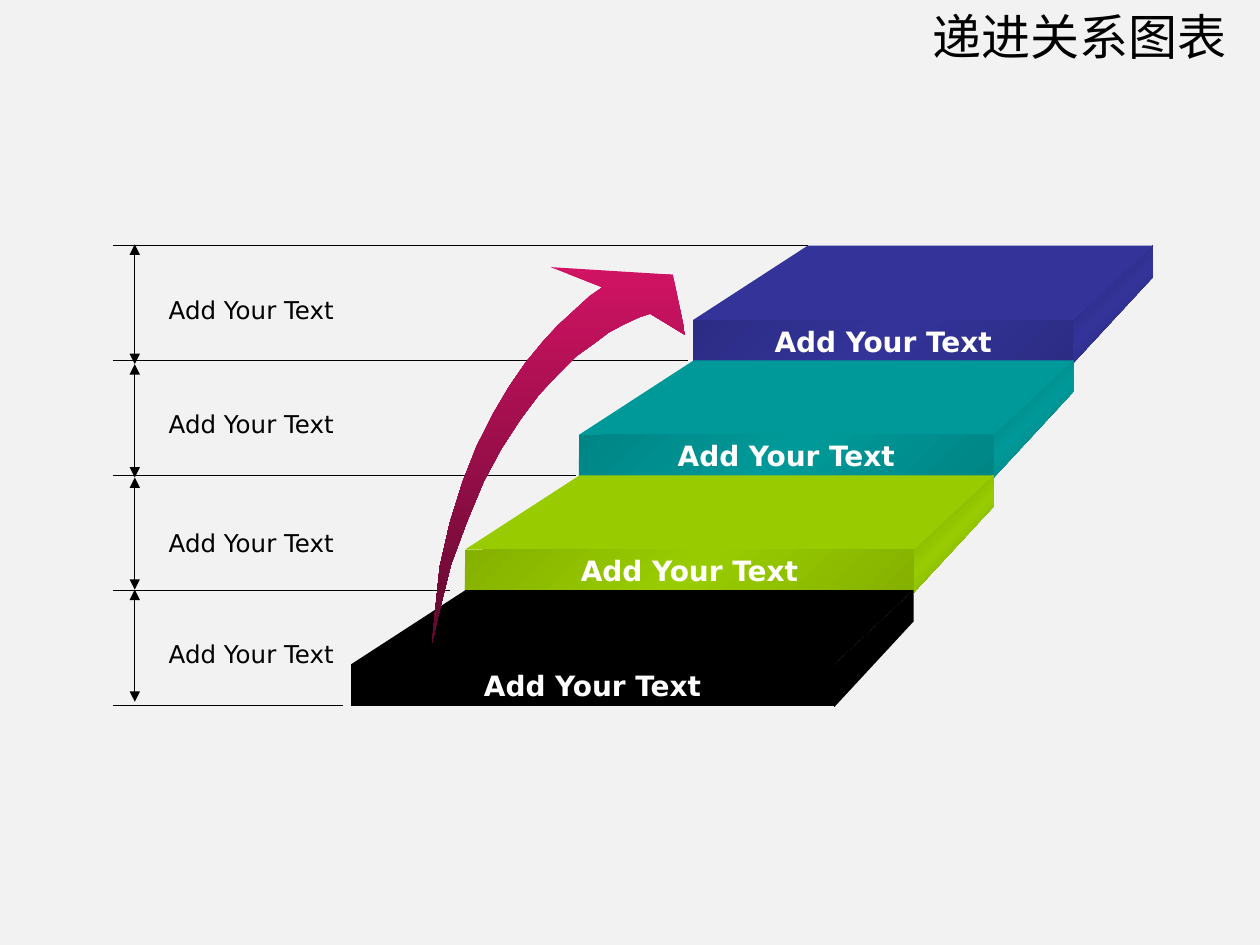
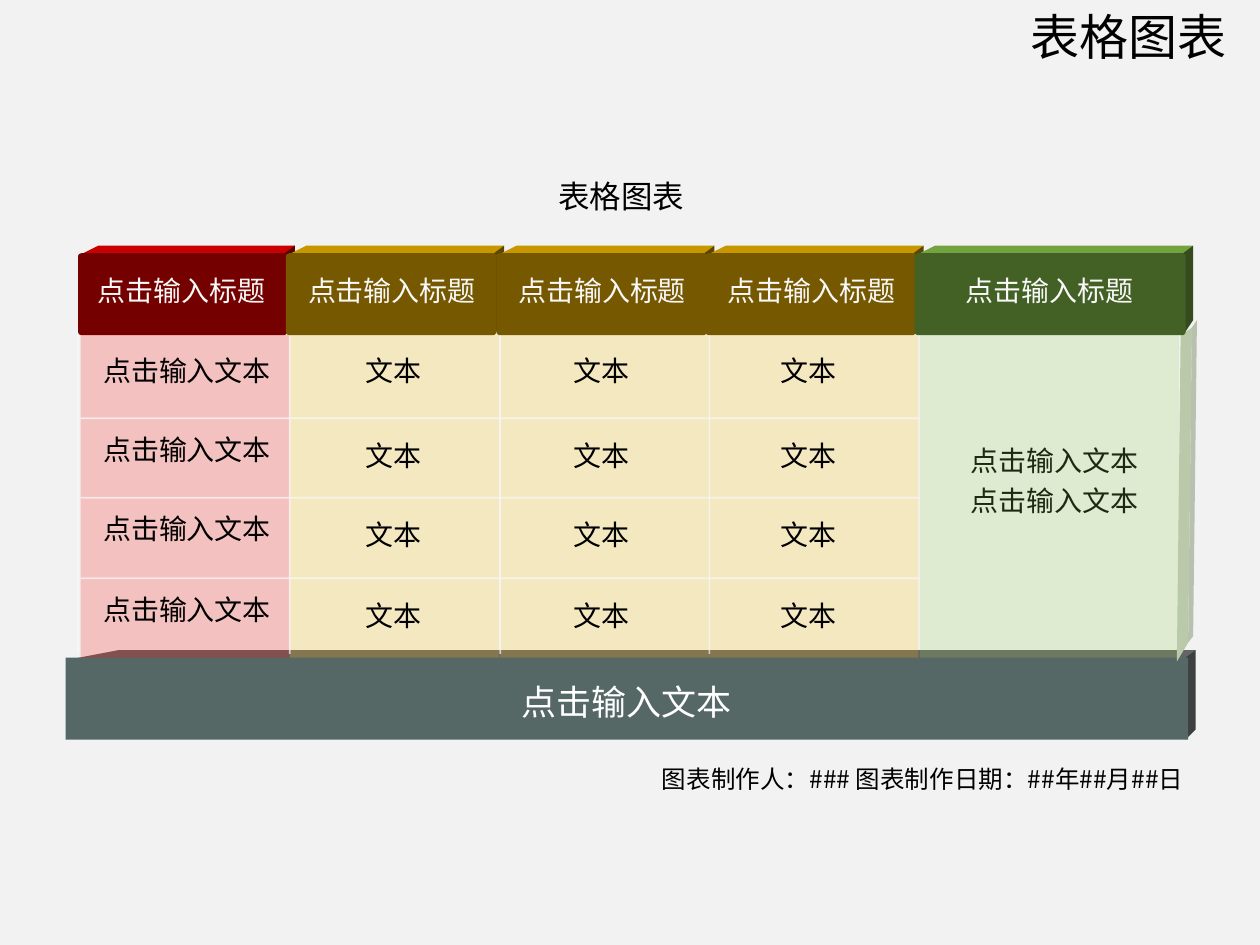
from lxml import etree
from pptx import Presentation
from pptx.dml.color import RGBColor
from pptx.enum.shapes import MSO_CONNECTOR, MSO_SHAPE
from pptx.enum.text import MSO_ANCHOR, PP_ALIGN
from pptx.oxml.ns import qn
from pptx.util import Inches, Pt

RECTANGLE, ROUNDED = MSO_SHAPE.RECTANGLE, MSO_SHAPE.ROUNDED_RECTANGLE
STRAIGHT = MSO_CONNECTOR.STRAIGHT
LEFT, CENTER, RIGHT = PP_ALIGN.LEFT, PP_ALIGN.CENTER, PP_ALIGN.RIGHT
TOP, MIDDLE = MSO_ANCHOR.TOP, MSO_ANCHOR.MIDDLE

CHINESE_FONT = "Noto Sans CJK SC"
LABEL_FONT = "DejaVu Sans"
TABLE_FONT = "Arial"

BACKGROUND = RGBColor(0xF2, 0xF2, 0xF2)
BLACK = RGBColor(0, 0, 0)
WHITE = RGBColor(0xFF, 0xFF, 0xFF)
OFF_WHITE = RGBColor(0xF8, 0xF8, 0xF8)
INDIGO = RGBColor(0x33, 0x33, 0x99)
TEAL = RGBColor(0x00, 0x99, 0x99)
LIME = RGBColor(0x99, 0xCC, 0x00)
PINK = RGBColor(0xD1, 0x13, 0x64)
DARK_PINK = RGBColor(0x61, 0x09, 0x2E)
RED = RGBColor(0xFF, 0x00, 0x00)
GOLD = RGBColor(0xFF, 0xC0, 0x00)
GREEN = RGBColor(0x92, 0xD0, 0x50)
SLATE = RGBColor(0x56, 0x68, 0x66)
GREY = RGBColor(0x64, 0x64, 0x64)
DARK_GREY = RGBColor(0x3C, 0x40, 0x40)
SAGE = RGBColor(0xB9, 0xC9, 0xAA)
PALE_SAGE = RGBColor(0xB8, 0xC0, 0xB0)


def darken(color, factor):
    return RGBColor(*(round(channel * factor) for channel in color))


def write_text(shape, text, size=16, font=TABLE_FONT, color=BLACK, bold=False,
               align=CENTER, anchor=TOP, wrap=True, space_before=4,
               line_spacing=None):
    """Fill a shape with one paragraph for each line of text."""
    frame = shape.text_frame
    frame.word_wrap = wrap
    frame.vertical_anchor = anchor
    for index, line in enumerate(text.split("\n")):
        paragraph = frame.add_paragraph() if index else frame.paragraphs[0]
        paragraph.alignment = align
        if index:
            paragraph.space_before = Pt(space_before)
        if line_spacing:
            paragraph.line_spacing = Pt(line_spacing)
        run = paragraph.add_run()
        run.text = line
        run.font.size = Pt(size)
        run.font.bold = bold
        run.font.color.rgb = color
        run.font.name = font
        east_asian = etree.SubElement(run.font._element, qn("a:ea"))
        east_asian.set("typeface", CHINESE_FONT)


class Deck:
    """Holds the shared style and the slide being drawn."""

    def __init__(self):
        self.presentation = Presentation()
        self.presentation.slide_width = Inches(10)
        self.presentation.slide_height = Inches(7.5)
        self.slide = None

    def add_slide(self, title):
        layout = self.presentation.slide_layouts[6]
        self.slide = self.presentation.slides.add_slide(layout)
        background = self.slide.background.fill
        background.solid()
        background.fore_color.rgb = BACKGROUND
        self.text(6.63, 0, 3.2, 0.57, title, size=28, font=CHINESE_FONT,
                  align=RIGHT)

    def text(self, left, top, width, height, text, **text_format):
        box = self.slide.shapes.add_textbox(
            Inches(left), Inches(top), Inches(width), Inches(height))
        write_text(box, text, **text_format)

    def paint(self, shape, color, alpha=None):
        shape.shadow.inherit = False
        shape.line.fill.background()
        shape.fill.solid()
        shape.fill.fore_color.rgb = color
        if alpha:
            self.set_alpha(shape, alpha)

    def set_alpha(self, shape, percent):
        for color in shape._element.spPr.iter(qn("a:srgbClr")):
            etree.SubElement(color, qn("a:alpha")).set("val", str(percent * 1000))

    def gradient(self, shape, colors, angle):
        shape.fill.gradient()
        gradient = shape._element.spPr.find(qn("a:gradFill"))
        stops = gradient.find(qn("a:gsLst"))
        for stop in list(stops):
            stops.remove(stop)
        for index, color in enumerate(colors):
            stop = etree.SubElement(stops, qn("a:gs"))
            stop.set("pos", str(index * 100000 // (len(colors) - 1)))
            etree.SubElement(stop, qn("a:srgbClr")).set("val", str(color))
        gradient.find(qn("a:lin")).set("ang", str(angle * 60000))

    def shape(self, kind, left, top, width, height, color, alpha=None):
        shape = self.slide.shapes.add_shape(
            kind, Inches(left), Inches(top), Inches(width), Inches(height))
        self.paint(shape, color, alpha)
        return shape

    def polygon(self, points, color):
        corners = [(Inches(x), Inches(y)) for x, y in points]
        builder = self.slide.shapes.build_freeform(*corners[0], scale=1.0)
        builder.add_line_segments(corners[1:], close=True)
        shape = builder.convert_to_shape()
        self.paint(shape, color)
        return shape

    def line(self, x1, y1, x2, y2, color=BLACK, width=0.75, alpha=None,
             arrows=False):
        connector = self.slide.shapes.add_connector(
            STRAIGHT, Inches(x1), Inches(y1), Inches(x2), Inches(y2))
        connector.line.color.rgb = color
        connector.line.width = Pt(width)
        properties = connector._element.spPr
        if alpha:
            self.set_alpha(connector, alpha)
        if arrows:
            for end in ("a:headEnd", "a:tailEnd"):
                element = etree.SubElement(properties.find(qn("a:ln")), qn(end))
                element.set("type", "triangle")
        etree.SubElement(properties, qn("a:effectLst"))

    def block(self, left, top, width, height, colors, back_left, back_right,
              rise, drop, corner):
        """Solid block: top face, right face and front face."""
        front, lid, side = colors
        right, bottom = left + width, top + height
        self.polygon([(left, top + 0.02), (left + back_left, top - rise),
                      (right + back_right, top - rise), (right, top + 0.02)], lid)
        self.polygon([(right - 0.02, top), (right + back_right, top - rise),
                      (right + back_right, bottom - drop),
                      (right - 0.02, bottom)], side)
        face = self.shape(ROUNDED, left, top, width, height, front)
        face.adjustments[0] = corner


def build_stairs(deck):
    deck.add_slide("递进关系图表")

    # Level lines, measuring arrows and labels
    for index, end in enumerate((6.41, 5.46, 4.57, 3.57, 2.72)):
        y = 1.95 + 0.9125 * index
        deck.line(end, y, 0.9, y)
    levels = (1.94, 2.89, 3.79, 4.68, 5.57)
    for upper, lower in zip(levels, levels[1:]):
        deck.line(1.07, upper, 1.07, lower, arrows=True)
    for top in (2.29, 3.2, 4.14, 5.02):
        deck.text(1.24, top, 1.59, 0.33, "Add Your Text", size=14,
                  font=LABEL_FONT, align=LEFT, wrap=False)

    # Steps, from the highest to the lowest
    for index, color in enumerate((INDIGO, TEAL, LIME, BLACK)):
        left, right = 5.5 - 0.905 * index, 8.52 - 0.633 * index
        back = 1.95 + 0.911 * index
        front, bottom = back + 0.59, back + 0.92
        far_right = right + 0.63
        side = deck.polygon([(far_right, back + 0.25), (right, bottom + 0.01),
                             (right, front), (far_right, back)], color)
        deck.polygon([(right, front), (left, front), (left + 0.91, back),
                      (far_right, back)], color)
        face = deck.shape(RECTANGLE, left, front, right - left, 0.33, color)
        for shape, factor in ((side, 0.714), (face, 0.87)):
            edge = darken(color, factor)
            deck.gradient(shape, (edge, color, edge), 45)
        write_text(face, "Add Your Text", font=LABEL_FONT, color=WHITE,
                   bold=True, anchor=MIDDLE, wrap=False)

    # Rising arrow
    outer_edge = [(3.43, 5.1), (3.45, 4.89), (3.49, 4.5), (3.57, 4.15),
                  (3.67, 3.83), (3.78, 3.55), (3.91, 3.29), (4.04, 3.07),
                  (4.17, 2.88), (4.31, 2.71), (4.43, 2.58), (4.55, 2.47),
                  (4.68, 2.35), (4.78, 2.28)]
    head = [(4.37, 2.12), (5.34, 2.18), (5.44, 2.66)]
    inner_edge = [(5.16, 2.49), (5.07, 2.52), (4.94, 2.58), (4.83, 2.64),
                  (4.71, 2.73), (4.57, 2.83), (4.43, 2.97), (4.28, 3.13),
                  (4.13, 3.33), (3.98, 3.56), (3.84, 3.82), (3.71, 4.13),
                  (3.58, 4.48), (3.48, 4.88)]
    arrow = deck.polygon(outer_edge + head + inner_edge, PINK)
    deck.gradient(arrow, (PINK, DARK_PINK), 90)


def build_table_chart(deck):
    deck.add_slide("表格图表")
    deck.text(0.51, 1.36, 8.84, 0.4, "表格图表", size=18)
    deck.text(0.65, 5.94, 8.84, 0.41, "图表制作人：### 图表制作日期：##年##月##日",
              size=14, font=CHINESE_FONT, align=RIGHT, line_spacing=22)

    # Base
    deck.block(0.52, 5.22, 8.91, 0.65, (SLATE, GREY, DARK_GREY),
               back_left=0.42, back_right=0.06, rise=0.06, drop=0.08,
               corner=0.002)
    deck.text(3.47, 5.35, 3.01, 0.46, "点击输入文本", size=20, color=WHITE)

    # Cells
    rows = (2.66, 3.32, 3.95, 4.59, 5.22)
    columns = (0.64, 2.3, 3.97, 5.63)
    for top, bottom in zip(rows, rows[1:]):
        for left in columns:
            color = RED if left == columns[0] else GOLD
            deck.shape(RECTANGLE, left, top, 1.66, bottom - top, color, alpha=20)

    # Grid lines
    grid = {"color": OFF_WHITE, "width": 1, "alpha": 70}
    for x in (0.62,) + columns[1:]:
        deck.line(x, 2.66, x, 5.19, **grid)
    for y in rows[1:-1]:
        deck.line(0.64, y, 7.3, y, **grid)

    # Cell texts
    for top in (2.76, 3.38, 4.01, 4.65):
        deck.text(0.65, top, 1.67, 0.39, "点击输入文本")
    for top in (2.76, 3.43, 4.06, 4.7):
        for left in (2.53, 4.18, 5.82):
            deck.text(left, top, 1.19, 0.39, "文本")

    # Summary panel, tinting the text below it
    deck.text(7.49, 3.47, 1.76, 0.82, "点击输入文本\n点击输入文本")
    deck.shape(RECTANGLE, 7.3, 2.63, 2.06, 2.59, GREEN, alpha=20)
    deck.polygon([(9.46, 2.6), (9.5, 2.54), (9.47, 5.05), (9.43, 5.1)],
                 PALE_SAGE)
    deck.polygon([(9.37, 2.66), (9.46, 2.6), (9.43, 5.1), (9.34, 5.25)], SAGE)

    # Column headers
    headers = ((0.62, 1.66, 0.56, RED), (2.27, 1.67, 2.23, GOLD),
               (3.94, 1.67, 3.9, GOLD), (5.6, 1.67, 5.56, GOLD),
               (7.26, 2.15, 7.45, GREEN))
    for left, width, text_left, color in headers:
        shades = [darken(color, factor) for factor in (0.46, 0.785, 0.36)]
        deck.block(left, 2.01, width, 0.65, shades, back_left=0.16,
                   back_right=0.06, rise=0.06, drop=0.12, corner=0.04)
        deck.text(text_left, 2.12, 1.76, 0.39, "点击输入标题", color=OFF_WHITE)


def main():
    deck = Deck()
    build_stairs(deck)
    build_table_chart(deck)
    deck.presentation.save("out.pptx")


if __name__ == "__main__":
    main()
